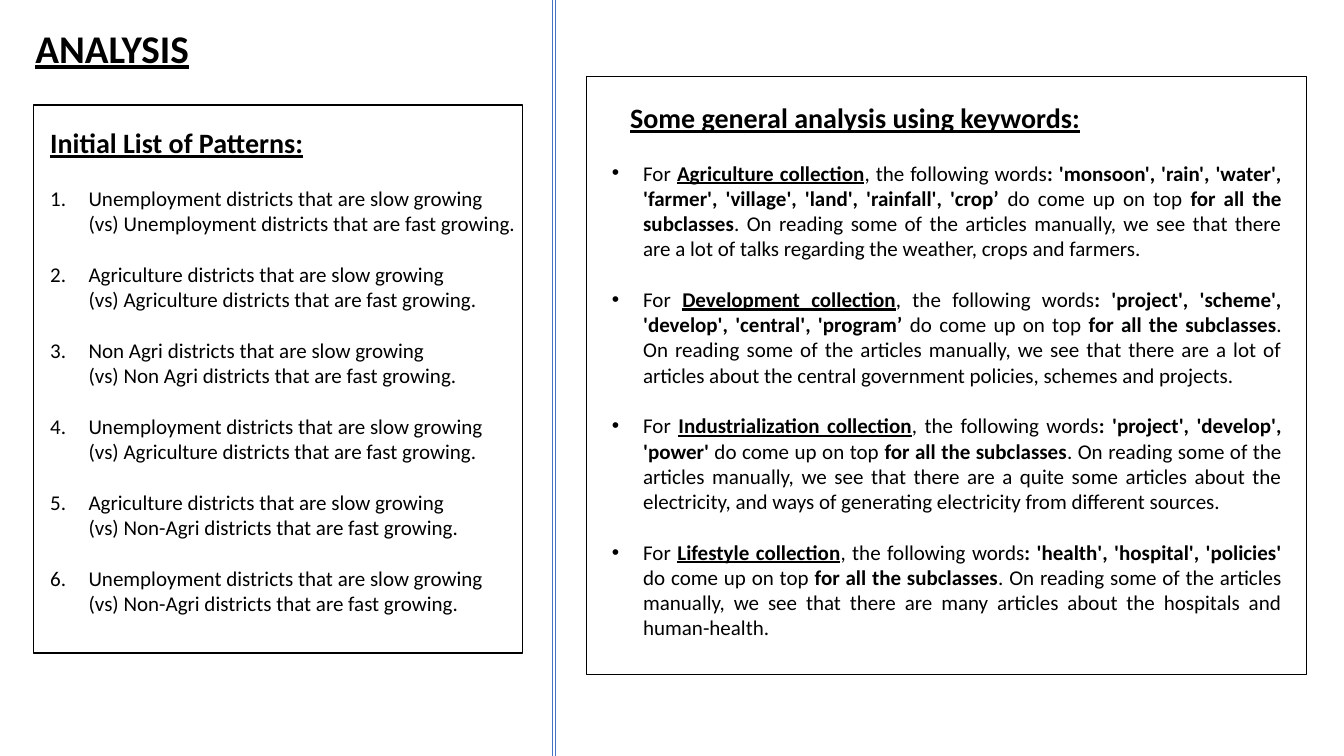
"""Builds the analysis slide: a list of patterns beside keyword findings."""
from lxml import etree
from pptx import Presentation
from pptx.dml.color import RGBColor
from pptx.enum.shapes import MSO_CONNECTOR, MSO_SHAPE
from pptx.enum.text import MSO_ANCHOR, MSO_AUTO_SIZE, PP_ALIGN
from pptx.oxml.ns import qn
from pptx.util import Inches, Pt

RECTANGLE = MSO_SHAPE.RECTANGLE
STRAIGHT = MSO_CONNECTOR.STRAIGHT
TOP = MSO_ANCHOR.TOP
NO_AUTOFIT = MSO_AUTO_SIZE.NONE
LEFT, JUSTIFY = PP_ALIGN.LEFT, PP_ALIGN.JUSTIFY

TITLE = "ANALYSIS"
PATTERNS_HEADING = "Initial List of Patterns:"
PATTERNS = [
    ("Unemployment", "Unemployment"),
    ("Agriculture", "Agriculture"),
    ("Non Agri", "Non Agri"),
    ("Unemployment", "Agriculture"),
    ("Agriculture", "Non-Agri"),
    ("Unemployment", "Non-Agri"),
]
KEYWORDS_HEADING = "Some general analysis using keywords:"
FINDINGS = [
    ("Agriculture", "'monsoon', 'rain', 'water', 'farmer', 'village', 'land', 'rainfall', 'crop’",
     "a lot of talks regarding the weather, crops and farmers."),
    ("Development", "'project', 'scheme', 'develop', 'central', 'program’",
     "a lot of articles about the central government policies, schemes and projects."),
    ("Industrialization", "'project', 'develop', 'power'",
     "a quite some articles about the electricity, and ways of generating "
     "electricity from different sources."),
    ("Lifestyle", "'health', 'hospital', 'policies'",
     "many articles about the hospitals and human-health."),
]

# Left, top, width and height in percent of the slide.
TITLE_AREA = (1.88, 2.53, 13.05, 7.6)
PATTERNS_AREA = (3, 16, 36.38, 69.73)
PATTERNS_FRAME = (2.48, 13.87, 36.38, 72.53)
KEYWORDS_AREA = (44.79, 12.67, 51.31, 76.53)
KEYWORDS_FRAME = (43.66, 10.13, 53.56, 79.07)
DIVIDERS = (41.34, 41.11)

FONT, BLACK, BLUE = "Calibri", "000000", "4472C4"
HEADING_SIZE, BODY_SIZE, ITEM_GAP = 20, 15, 18.3

deck = Presentation()
deck.slide_width, deck.slide_height = Inches(13.33), Inches(7.5)
page = deck.slides.add_slide(deck.slide_layouts[5])


def color(value):
    """Return the colour for a hex string."""
    return RGBColor.from_string(value)


def area(left, top, width, height):
    """Turn percentages of the slide into lengths."""
    across, down = deck.slide_width / 100, deck.slide_height / 100
    return [round(part) for part in (left * across, top * down, width * across, height * down)]


def style(span, size, bold=False, underline=False):
    """Format one run."""
    span.font.name, span.font.size = FONT, Pt(size)
    span.font.bold, span.font.underline = bold, underline
    span.font.color.rgb = color(BLACK)


def add_frame(share):
    """Draw an unfilled black frame."""
    frame = page.shapes.add_shape(RECTANGLE, *area(*share))
    frame.shadow.inherit = False
    frame.fill.background()
    frame.line.color.rgb = color(BLACK)
    frame.line.width = Pt(1)


def add_text(share, heading, indent=0):
    """Add a text box that opens with an underlined heading."""
    box = page.shapes.add_textbox(*area(*share))
    box.text_frame.word_wrap = True
    para = box.text_frame.paragraphs[0]
    para.text = heading
    para.alignment = JUSTIFY
    para._p.get_or_add_pPr().set("marL", str(Inches(indent)))
    style(para.runs[0], HEADING_SIZE, True, True)
    return box.text_frame


def add_item(frame, align, indent, tag, **marker):
    """Add a paragraph with a hanging list marker."""
    para = frame.add_paragraph()
    properties = para._p.get_or_add_pPr()
    properties.set("marL", str(Inches(indent)))
    properties.set("indent", str(-Inches(indent)))
    etree.SubElement(properties, qn("a:buFont"), typeface="Arial" if tag == "a:buChar" else "+mj-lt")
    etree.SubElement(properties, qn(tag), **marker)
    para.alignment = align
    para.space_before = Pt(ITEM_GAP)
    return para


def add_divider(share):
    """Draw a thin line down the whole slide."""
    left = round(deck.slide_width * share / 100)
    line = page.shapes.add_connector(STRAIGHT, left, 0, left, deck.slide_height)
    line.line.color.rgb = color(BLUE)
    line.line.width = Pt(0.5)
    etree.SubElement(line._element.spPr, qn("a:effectLst"))


title = page.shapes.title
title.left, title.top, title.width, title.height = area(*TITLE_AREA)
title.text_frame.text = TITLE
title.text_frame.word_wrap = False
title.text_frame.auto_size = NO_AUTOFIT
title.text_frame.vertical_anchor = TOP
title.text_frame.paragraphs[0].alignment = LEFT
style(title.text_frame.paragraphs[0].runs[0], 28, True, True)

findings = add_text(KEYWORDS_AREA, KEYWORDS_HEADING, 0.18)
for collection, words, outcome in FINDINGS:
    para = add_item(findings, JUSTIFY, 0.31, "a:buChar", char="•")
    for text, bold, underline in [
        ("For ", False, False),
        (f"{collection} collection", True, True),
        (", the following words", False, False),
        (f": {words}", True, False),
        (" do come up on top ", False, False),
        ("for all the subclasses", True, False),
        (f". On reading some of the articles manually, we see that there are {outcome}", False, False),
    ]:
        span = para.add_run()
        span.text = text
        style(span, BODY_SIZE, bold, underline)
add_frame(KEYWORDS_FRAME)

for share in DIVIDERS:
    add_divider(share)

patterns = add_text(PATTERNS_AREA, PATTERNS_HEADING)
for slow, fast in PATTERNS:
    para = add_item(patterns, LEFT, 0.38, "a:buAutoNum", type="arabicPeriod")
    para.text = (f"{slow} districts that are slow growing\v"
                 f"(vs) {fast} districts that are fast growing.")
    for span in para.runs:
        style(span, BODY_SIZE)
add_frame(PATTERNS_FRAME)

deck.save("out.pptx")
